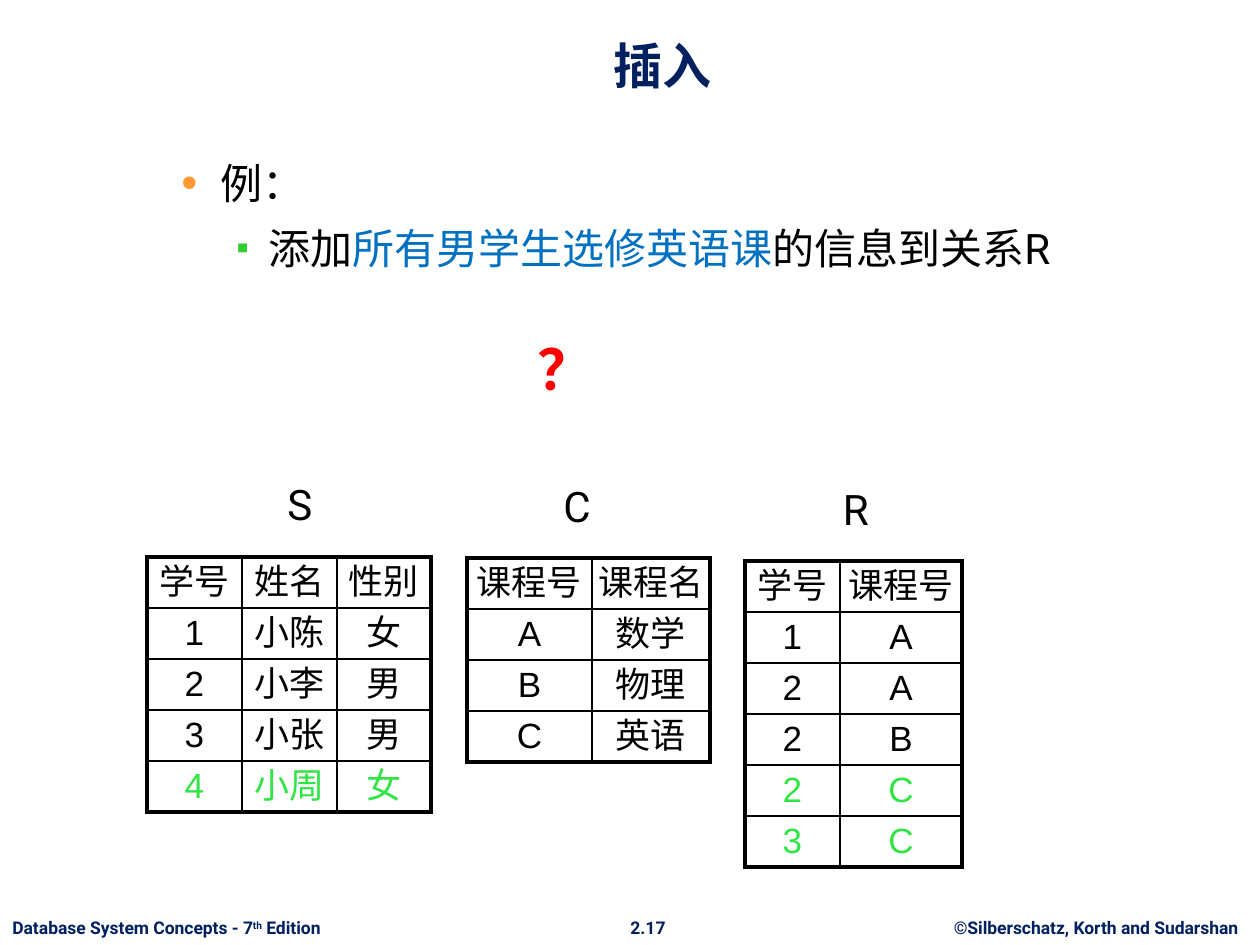
"""Build a slide on inserting tuples, with three relation tables S, C and R."""
from lxml import etree
from pptx import Presentation
from pptx.dml.color import RGBColor
from pptx.enum.text import MSO_ANCHOR, PP_ALIGN
from pptx.oxml.ns import qn
from pptx.util import Pt

PX = 914400 // 126
LEFT, CENTER = PP_ALIGN.LEFT, PP_ALIGN.CENTER
TOP, MIDDLE, BOTTOM = MSO_ANCHOR.TOP, MSO_ANCHOR.MIDDLE, MSO_ANCHOR.BOTTOM
NAVY, BLACK, WHITE = "002060", "000000", "FFFFFF"
BLUE, GREEN, RED = "0070C0", "30E444", "FF0000"
THICK, THIN = 2.25, 1
ROW_HEIGHT = 51

FOOTER = {"size": 10, "color": NAVY, "bold": True}
TITLE = {"size": 28, "color": NAVY, "bold": True}
BODY = {"size": 24, "color": BLACK}
QUESTION = {"size": 32, "color": RED, "bold": True}
CELL = {"size": 20, "color": BLACK, "name": "Arial"}

TEXTS = [
    ((932, 911, 328, 34), ["©Silberschatz, Korth and Sudarshan"], FOOTER, CENTER, TOP, False),
    ((617, 911, 62, 34), ["2.17"], FOOTER, CENTER, TOP, False),
    ((0, 911, 354, 34), ["Database System Concepts - 7", ("th", {"baseline": 30000}), " Edition"],
     FOOTER, LEFT, TOP, False),
    ((106, 16, 1113, 85), ["插入"], TITLE, CENTER, BOTTOM, True),
    ((525, 328, 82, 82), ["？"], QUESTION, CENTER, TOP, False),
]
BULLETS = [
    (["例："], 102, 39, "•", "FF9933", 110),
    (["添加", ("所有男学生选修英语课", {"color": BLUE}), "的信息到关系R"], 150, 32, "▪", "33CC33", 85),
]
RELATIONS = [
    {"name": "S", "label": (242, 472), "at": (147, 557), "columns": (95, 95, 94), "new": 1,
     "rows": [("学号", "姓名", "性别"), ("1", "小陈", "女"), ("2", "小李", "男"),
              ("3", "小张", "男"), ("4", "小周", "女")]},
    {"name": "C", "label": (519, 474), "at": (467, 558), "columns": (125, 118), "new": 0,
     "rows": [("课程号", "课程名"), ("A", "数学"), ("B", "物理"), ("C", "英语")]},
    {"name": "R", "label": (798, 477), "at": (745, 561), "columns": (95, 122), "new": 2,
     "rows": [("学号", "课程号"), ("1", "A"), ("2", "A"), ("2", "B"), ("2", "C"), ("3", "C")]},
]


def rgb(value):
    return RGBColor.from_string(value)


def scaled(values):
    return [value * PX for value in values]


def add_spans(para, spans, style):
    for item in spans:
        text, changes = item if isinstance(item, tuple) else (item, {})
        look = {"name": "Roboto", "bold": False, **style, **changes}
        span = para.add_run()
        span.text = text
        span.font.color.rgb = rgb(look["color"])
        for key, value in {"size": Pt(look["size"]), "bold": look["bold"], "name": look["name"]}.items():
            setattr(span.font, key, value)
        props = span.font._element
        etree.SubElement(props, qn("a:ea")).set("typeface", look["name"])
        if "baseline" in look:
            props.set("baseline", str(look["baseline"]))


def add_box(page, area, wrap=True, anchor=TOP):
    frame = page.shapes.add_textbox(*scaled(area)).text_frame
    frame.word_wrap = wrap
    frame.vertical_anchor = anchor
    return frame


def add_text(page, area, spans, style, align, anchor, wrap):
    para = add_box(page, area, wrap, anchor).paragraphs[0]
    para.alignment = align
    add_spans(para, spans, style)


def add_bullets(page, area):
    frame = add_box(page, area)
    for index, (spans, margin, hang, mark, color, percent) in enumerate(BULLETS):
        para = frame.add_paragraph() if index else frame.paragraphs[0]
        para.level = index
        para.space_before = Pt(8.4) if index else Pt(0)
        props = para._p.get_or_add_pPr()
        props.set("marL", str(margin * PX))
        props.set("indent", str(-hang * PX))
        tint = etree.SubElement(props, qn("a:buClr"))
        etree.SubElement(tint, qn("a:srgbClr")).set("val", color)
        etree.SubElement(props, qn("a:buSzPct")).set("val", str(percent * 1000))
        etree.SubElement(props, qn("a:buFont")).set("typeface", "Arial")
        etree.SubElement(props, qn("a:buChar")).set("char", mark)
        add_spans(para, spans, BODY)


def set_borders(cell, outer):
    props = cell._tc.get_or_add_tcPr()
    for index, (side, is_outer) in enumerate(outer.items()):
        line = etree.Element(qn("a:ln" + side), w=str(Pt(THICK if is_outer else THIN)))
        fill = etree.SubElement(line, qn("a:solidFill"))
        etree.SubElement(fill, qn("a:srgbClr")).set("val", BLACK)
        props.insert(index, line)


def add_relation(page, relation):
    rows, columns = relation["rows"], relation["columns"]
    size = (sum(columns), ROW_HEIGHT * len(rows))
    table = page.shapes.add_table(len(rows), len(columns), *scaled(relation["at"] + size)).table
    table.first_row = table.horz_banding = False
    for column, width in zip(table.columns, columns):
        column.width = width * PX
    last_row, last_column = len(rows) - 1, len(columns) - 1
    for r, values in enumerate(rows):
        table.rows[r].height = ROW_HEIGHT * PX
        color = GREEN if r >= len(rows) - relation["new"] else BLACK
        for c, value in enumerate(values):
            cell = table.cell(r, c)
            for key, setting in {"margin_left": 0, "margin_right": 0, "margin_top": 2 * PX,
                                 "margin_bottom": 2 * PX, "vertical_anchor": MIDDLE}.items():
                setattr(cell, key, setting)
            cell.fill.solid()
            cell.fill.fore_color.rgb = rgb(WHITE)
            set_borders(cell, {"L": c == 0, "R": c == last_column, "T": r == 0, "B": r == last_row})
            para = cell.text_frame.paragraphs[0]
            para.alignment = CENTER
            add_spans(para, [value], {**CELL, "color": color})


deck = Presentation()
deck.slide_width, deck.slide_height = scaled((1260, 945))
page = deck.slides.add_slide(deck.slide_layouts[6])
for entry in TEXTS:
    add_text(page, *entry)
add_bullets(page, (106, 151, 1062, 675))
for relation in RELATIONS:
    add_relation(page, relation)
    add_text(page, relation["label"] + (116, 64), [relation["name"]], BODY, CENTER, TOP, True)
deck.save("out.pptx")
